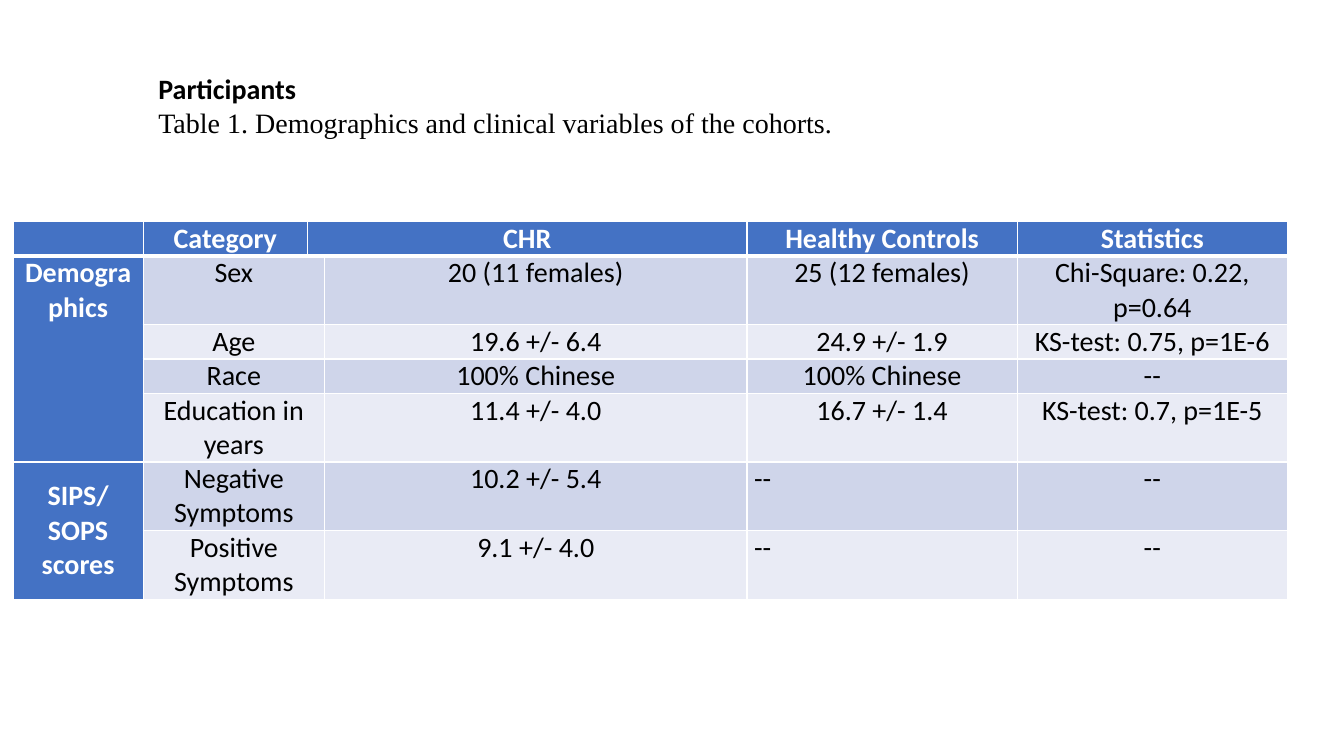
"""Build the participants slide with its table of demographic and clinical variables."""
from dataclasses import dataclass

from lxml import etree
from pptx import Presentation
from pptx.dml.color import RGBColor
from pptx.enum.text import MSO_ANCHOR, MSO_AUTO_SIZE, PP_ALIGN
from pptx.oxml.ns import qn
from pptx.slide import Slide
from pptx.table import Table, _Cell
from pptx.text.text import TextFrame
from pptx.util import Inches, Pt

LEFT, CENTER = PP_ALIGN.LEFT, PP_ALIGN.CENTER
TOP, MIDDLE = MSO_ANCHOR.TOP, MSO_ANCHOR.MIDDLE
NO_AUTOFIT = MSO_AUTO_SIZE.NONE
TITLE_ONLY = 5


@dataclass(frozen=True)
class Theme:
    accent: str = "4472C4"
    bands: tuple[str, str] = ("CFD5EA", "E9EBF5")
    ink: str = "000000"
    paper: str = "FFFFFF"
    body_font: str = "Calibri"
    caption_font: str = "Times New Roman"
    size: int = 20
    rule: int = 1
    header_rule: int = 3


@dataclass(frozen=True)
class Measure:
    category: str
    patients: str
    controls: str
    statistics: str
    lines: int = 1
    controls_align: PP_ALIGN = CENTER


@dataclass(frozen=True)
class Group:
    label: str
    measures: tuple[Measure, ...]
    anchor: MSO_ANCHOR = TOP


THEME = Theme()
LINE_HEIGHT = 0.34
COLUMN_WIDTHS = (1.29, 1.63, 0.17, 4.19, 2.68, 2.68)
HEADINGS = {1: "Category", 2: "CHR", 4: "Healthy Controls", 5: "Statistics"}
GROUPS = (
    Group("Demographics", (
        Measure("Sex", "20 (11 females)", "25 (12 females)", "Chi-Square: 0.22, p=0.64", lines=2),
        Measure("Age", "19.6 +/- 6.4", "24.9 +/- 1.9", "KS-test: 0.75, p=1E-6"),
        Measure("Race", "100% Chinese", "100% Chinese", "--"),
        Measure("Education in years", "11.4 +/- 4.0", "16.7 +/- 1.4", "KS-test: 0.7, p=1E-5", lines=2),
    )),
    Group("SIPS/SOPS\nscores", (
        Measure("Negative Symptoms", "10.2 +/- 5.4", "--", "--", lines=2, controls_align=LEFT),
        Measure("Positive Symptoms", "9.1 +/- 4.0", "--", "--", lines=2, controls_align=LEFT),
    ), MIDDLE),
)


def write_text(frame: TextFrame, text: str, *, color: str = THEME.ink, bold: bool = False,
               align: PP_ALIGN = CENTER, fonts: tuple[str, ...] = (THEME.body_font,)) -> None:
    """Write one paragraph per line, the last font serving any further lines."""
    frame.text = text
    for index, paragraph in enumerate(frame.paragraphs):
        paragraph.alignment = align
        paragraph.line_spacing = 1.0
        paragraph.space_before = Pt(0)
        for run in paragraph.runs:
            run.font.name = fonts[min(index, len(fonts) - 1)]
            run.font.size = Pt(THEME.size)
            run.font.bold = bold
            run.font.color.rgb = RGBColor.from_string(color)


def draw_borders(cell: _Cell, top: int, bottom: int) -> None:
    """Rule the four sides of a cell, with widths in points."""
    properties = cell._tc.get_or_add_tcPr()
    sides = {"a:lnL": THEME.rule, "a:lnR": THEME.rule, "a:lnT": top, "a:lnB": bottom}
    for position, (side, width) in enumerate(sides.items()):
        line = etree.Element(qn(side), w=str(Pt(width)))
        fill = etree.SubElement(line, qn("a:solidFill"))
        etree.SubElement(fill, qn("a:srgbClr"), val=THEME.paper)
        properties.insert(position, line)


def style_cells(table: Table) -> None:
    """Give every cell its margins, fill and borders."""
    for row_index, row in enumerate(table.rows):
        for column_index, cell in enumerate(row.cells):
            cell.margin_left = cell.margin_right = Inches(0.07)
            cell.margin_top = cell.margin_bottom = Inches(0)
            accented = row_index == 0 or column_index == 0
            fill = THEME.accent if accented else THEME.bands[(row_index - 1) % 2]
            cell.fill.solid()
            cell.fill.fore_color.rgb = RGBColor.from_string(fill)
            draw_borders(cell,
                         top=THEME.header_rule if row_index == 1 else THEME.rule,
                         bottom=THEME.header_rule if row_index == 0 else THEME.rule)


def fill_measure(table: Table, row: int, measure: Measure) -> None:
    """Write one measure across its row."""
    table.cell(row, 1).merge(table.cell(row, 2))
    values = {1: measure.category, 3: measure.patients, 4: measure.controls, 5: measure.statistics}
    for column, value in values.items():
        align = measure.controls_align if column == 4 else CENTER
        write_text(table.cell(row, column).text_frame, value, align=align)


def add_cohort_table(slide: Slide) -> None:
    """Add the table of cohorts, grouped by kind of measure."""
    line_counts = [1] + [measure.lines for group in GROUPS for measure in group.measures]
    table = slide.shapes.add_table(
        len(line_counts), len(COLUMN_WIDTHS), Inches(0.13), Inches(2.2),
        Inches(sum(COLUMN_WIDTHS)), Inches(LINE_HEIGHT * sum(line_counts))).table
    for column, width in zip(table.columns, COLUMN_WIDTHS):
        column.width = Inches(width)
    for row, lines in zip(table.rows, line_counts):
        row.height = Inches(LINE_HEIGHT * lines)
    style_cells(table)

    table.cell(0, 2).merge(table.cell(0, 3))
    for column, heading in HEADINGS.items():
        write_text(table.cell(0, column).text_frame, heading, color=THEME.paper, bold=True)

    first = 1
    for group in GROUPS:
        label = table.cell(first, 0)
        label.merge(table.cell(first + len(group.measures) - 1, 0))
        label.vertical_anchor = group.anchor
        write_text(label.text_frame, group.label, color=THEME.paper, bold=True)
        for row, measure in enumerate(group.measures, first):
            fill_measure(table, row, measure)
        first += len(group.measures)


def add_heading(slide: Slide) -> None:
    """Place the section title and the table caption."""
    heading = slide.shapes.title
    heading.left, heading.top = Inches(1.47), Inches(0.66)
    heading.width, heading.height = Inches(8.11), Inches(0.77)
    frame = heading.text_frame
    frame.word_wrap = True
    frame.auto_size = NO_AUTOFIT
    frame.vertical_anchor = MIDDLE
    write_text(frame, "Participants\nTable 1. Demographics and clinical variables of the cohorts.",
               align=LEFT, fonts=(THEME.body_font, THEME.caption_font))
    frame.paragraphs[0].runs[0].font.bold = True


def main() -> None:
    """Build and save the slide."""
    presentation = Presentation()
    presentation.slide_width, presentation.slide_height = Inches(13.33), Inches(7.5)
    slide = presentation.slides.add_slide(presentation.slide_layouts[TITLE_ONLY])
    add_cohort_table(slide)
    add_heading(slide)
    presentation.save("out.pptx")


if __name__ == "__main__":
    main()
